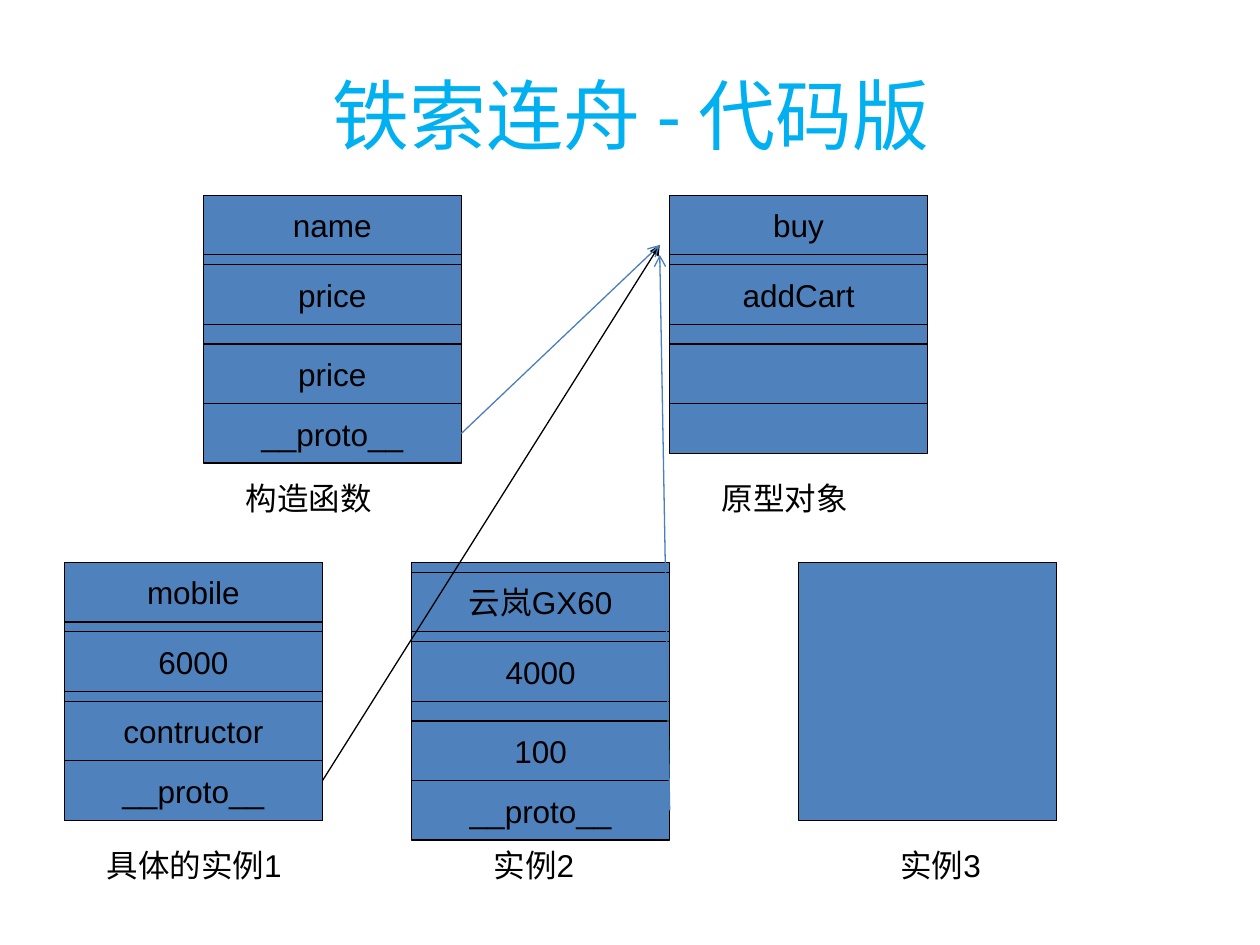
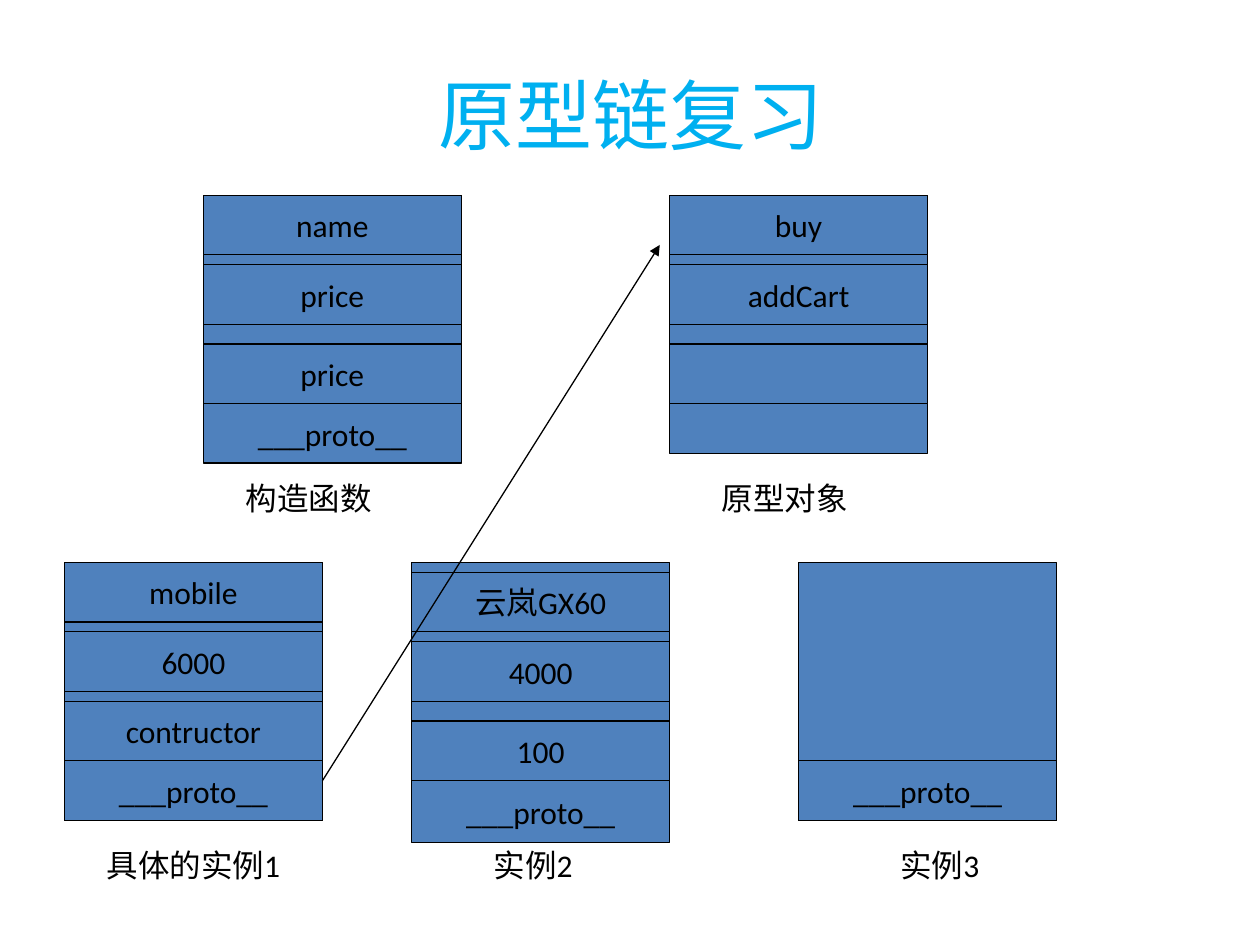
import pptx
import pptx.dml.color
import pptx.enum.shapes
import pptx.enum.text
import pptx.oxml.ns
import pptx.util
import lxml.etree

RGBColor = pptx.dml.color.RGBColor
SKY = RGBColor(0x00, 0xB0, 0xF0)
FILL = RGBColor(0x4F, 0x81, 0xBD)
ARROW = RGBColor(0x4B, 0x7E, 0xBC)
BLACK = RGBColor(0, 0, 0)

CELL = pptx.util.Mm(2)
LEFT, TOP = 0.5, 0.69
OBJECT_SIDE = 26
SLOT_HEIGHT = 6
RIGHT_SIDE = 3


class Deck:
    def __init__(self):
        self.prs = pptx.Presentation()
        self.prs.slide_width = pptx.util.Inches(10)
        self.prs.slide_height = pptx.util.Inches(7.5)

    def x(self, col):
        return int((col + LEFT) * CELL)

    def y(self, row):
        return int((row + TOP) * CELL)

    def place(self, col, row, cols, rows):
        return self.x(col), self.y(row), int(cols * CELL), int(rows * CELL)

    def new_slide(self, font, title):
        self.font = font
        self.s = self.prs.slides.add_slide(self.prs.slide_layouts[6])
        w, h = self.prs.slide_width, self.prs.slide_height
        sp = self.s.shapes.add_textbox(int(w * 0.051), int(h * 0.037), int(w * 0.9), int(h * 0.167))
        self.set_text(sp, title, "Calibri", 44, SKY, True)

    def set_text(self, sp, text, font, size, color, centred):
        tf = sp.text_frame
        tf.word_wrap = True
        p = tf.paragraphs[0]
        p.text = text
        p.font.name = font
        p.font.size = pptx.util.Pt(size)
        p.font.color.rgb = color
        if centred:
            p.alignment = pptx.enum.text.PP_ALIGN.CENTER
            tf.vertical_anchor = pptx.enum.text.MSO_ANCHOR.MIDDLE
        return tf

    def box(self, col, row, rows, text=""):
        sp = self.s.shapes.add_shape(pptx.enum.shapes.MSO_SHAPE.RECTANGLE,
                                     *self.place(col, row, OBJECT_SIDE, rows))
        sp.shadow.inherit = False
        sp.fill.solid()
        sp.fill.fore_color.rgb = FILL
        sp.line.color.rgb = BLACK
        sp.line.width = pptx.util.Pt(0.75)
        if text:
            self.set_text(sp, text, self.font, 18, BLACK, True).word_wrap = False
        return sp

    def caption(self, col, row, cols, text):
        sp = self.s.shapes.add_textbox(*self.place(col, row, cols, 5))
        tf = self.set_text(sp, text, self.font, 18, BLACK, False)
        tf.auto_size = pptx.enum.text.MSO_AUTO_SIZE.SHAPE_TO_FIT_TEXT

    def stack(self, col, row, slots):
        sp = self.box(col, row, OBJECT_SIDE)
        for offset, text, *height in slots:
            sp = self.box(col, row + offset, height[0] if height else SLOT_HEIGHT, text)
        return sp

    def arrow(self, start, end, color, head, source=None):
        cx = self.s.shapes.add_connector(
            pptx.enum.shapes.MSO_CONNECTOR.STRAIGHT,
            self.x(start[0]), self.y(start[1]), self.x(end[0]), self.y(end[1]))
        if source is not None:
            cx.begin_connect(source, RIGHT_SIDE)
        cx.line.color.rgb = color
        cx.line.width = pptx.util.Pt(0.75)
        qn = pptx.oxml.ns.qn
        lxml.etree.SubElement(cx.get_or_add_ln(), qn("a:tailEnd"), type=head)
        lxml.etree.SubElement(cx.element.spPr, qn("a:effectLst"))


def draw_chain(deck, proto, instance2_height, instance3):
    constructor = deck.stack(20, 19, [(0, "name"), (7, "price"), (15, "price"), (21, proto)])
    deck.stack(67, 19, [(0, "buy"), (7, "addCart"), (15, "")])
    deck.stack(6, 56, [(0, "mobile"), (7, "6000"), (14, "contructor"), (20, proto)])
    instance2 = deck.stack(41, 56, [(1, "云岚GX60"), (8, "4000"), (16, "100"),
                                    (22, proto, instance2_height)])
    deck.stack(80, 56, instance3)
    for col, row, cols, text in [(23, 47, 17, "构造函数"), (71, 47, 17, "原型对象"),
                                 (9, 84, 23, "具体的实例1"), (48, 84, 14, "实例2"),
                                 (89, 84, 14, "实例3")]:
        deck.caption(col, row, cols, text)
    deck.arrow((32, 78), (66, 24), BLACK, "triangle")
    return constructor, instance2


def main():
    deck = Deck()
    deck.new_slide("Arial", "铁索连舟 - 代码版")
    constructor, instance2 = draw_chain(deck, "__proto__", SLOT_HEIGHT, [])
    deck.arrow((46, 43), (66, 24), ARROW, "arrow", constructor)
    deck.arrow((67, 81), (66, 25), ARROW, "arrow", instance2)

    deck.new_slide("Calibri", "原型链复习")
    draw_chain(deck, "___proto__", 6.25, [(20, "___proto__")])
    deck.prs.save("out.pptx")


if __name__ == "__main__":
    main()
